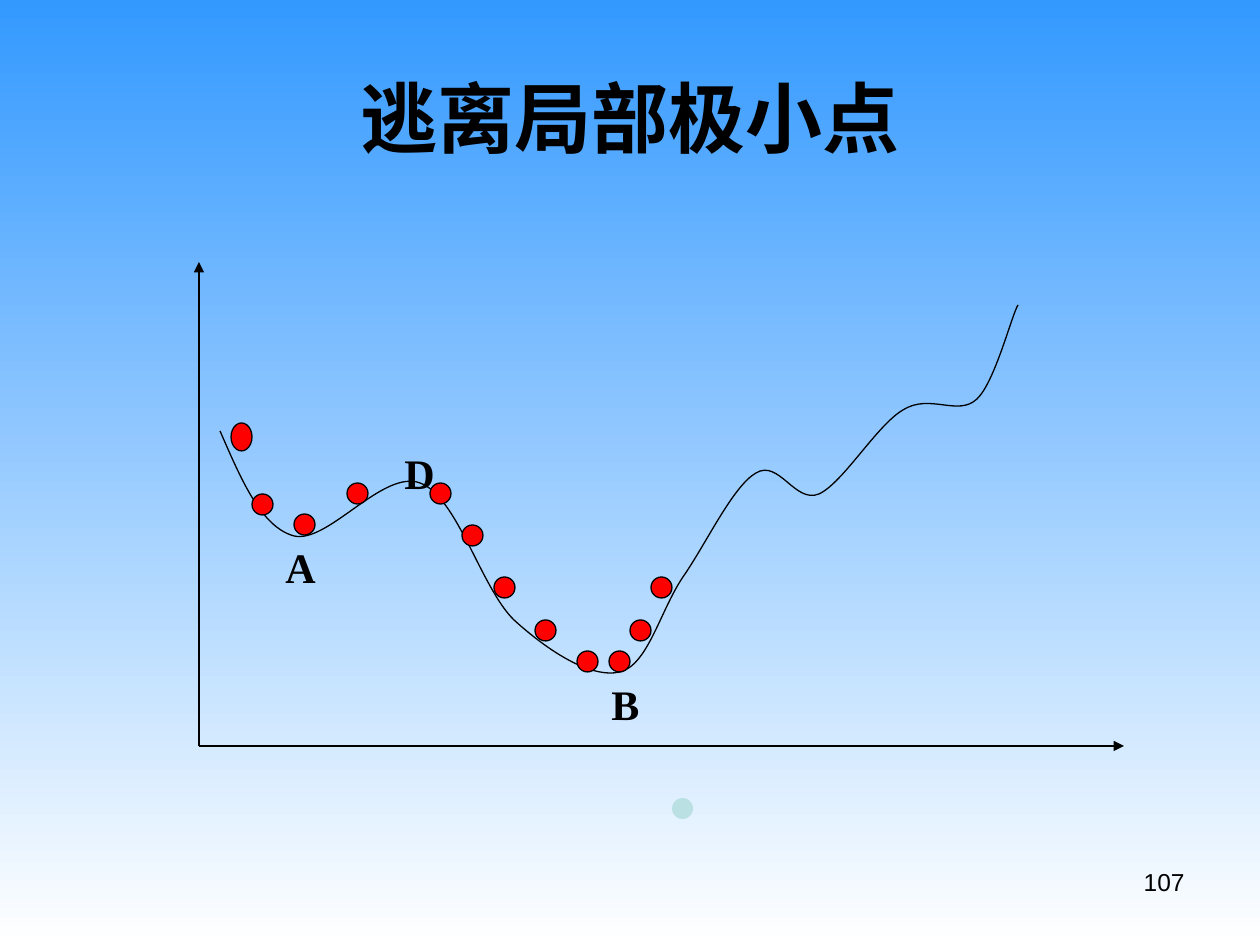
import pptx
import pptx.util
import pptx.dml.color
import pptx.enum.shapes
import pptx.enum.text
import pptx.oxml
import pptx.oxml.ns

PX = 914400 / 126
qn = pptx.oxml.ns.qn


def px(*lengths):
    return [pptx.util.Emu(round(length * PX)) for length in lengths]


def color(value):
    return pptx.dml.color.RGBColor.from_string(value)


deck = pptx.Presentation()
deck.slide_width, deck.slide_height = px(1260, 945)
slide = deck.slides.add_slide(deck.slide_layouts[5])

sky = slide.background.fill
sky.gradient()
sky.gradient_angle = 270
for stop, (position, shade) in zip(sky.gradient_stops, [(0, "3399FF"), (1, "FFFFFF")]):
    stop.position = position
    stop.color.rgb = color(shade)

title = slide.shapes.title
title.left, title.top, title.width, title.height = px(63, 38, 1134, 158)
title.text_frame.text = "逃离局部极小点"
title.text_frame.vertical_anchor = pptx.enum.text.MSO_ANCHOR.MIDDLE
heading = title.text_frame.paragraphs[0]
heading.alignment = pptx.enum.text.PP_ALIGN.CENTER
heading.runs[0].font.name = "Arial"
heading.runs[0].font.size = pptx.util.Pt(44)
heading.runs[0].font.bold = True
heading.runs[0].font.color.rgb = color("000000")

plot = slide.shapes.add_group_shape().shapes
origin = (199, 746)
for axis_end in [(199, 262), (1124, 746)]:
    axis = plot.add_connector(
        pptx.enum.shapes.MSO_CONNECTOR.STRAIGHT, *px(*origin, *axis_end))
    axis.line.color.rgb = color("000000")
    axis.line.width = pptx.util.Pt(0.75)
    arrowhead = pptx.oxml.parse_xml(
        '<a:tailEnd xmlns:a="http://schemas.openxmlformats.org/drawingml/2006/main" type="triangle"/>')
    axis.line._get_or_add_ln().append(arrowhead)
    axis_properties = axis._element.spPr
    axis_properties.append(axis_properties.makeelement(qn("a:effectLst"), {}))

curve_start = (220, 431)
curve_points = [
    (241, 479), (261, 527), (294, 536),
    (328, 544), (383, 469), (420, 483),
    (457, 496), (481, 588), (514, 620),
    (548, 651), (591, 679), (620, 672),
    (648, 665), (660, 611), (683, 577),
    (706, 544), (733, 486), (756, 473),
    (779, 459), (795, 504), (819, 494),
    (843, 483), (877, 425), (903, 410),
    (930, 393), (958, 417), (977, 399),
    (995, 382), (1012, 314), (1018, 305),
]
outline = plot.build_freeform(*curve_start, scale=PX)
outline.add_line_segments(curve_points, close=False)
curve = outline.convert_to_shape()
curve.shadow.inherit = False
curve.fill.background()
curve.line.color.rgb = color("000000")
curve.line.width = pptx.util.Pt(0.75)
segments = list(curve._element.iter(qn("a:lnTo")))
for first in range(0, len(segments), 3):
    bezier = segments[first].makeelement(qn("a:cubicBezTo"), {})
    segments[first].addprevious(bezier)
    for segment in segments[first:first + 3]:
        bezier.append(segment[0])
        segment.getparent().remove(segment)

for letter, left, top, width in [("D", 392, 441, 55), ("B", 599, 672, 53), ("A", 273, 535, 55)]:
    label = plot.add_textbox(*px(left, top, width, 63))
    label.text_frame.word_wrap = False
    label.text_frame.text = letter
    letter_font = label.text_frame.paragraphs[0].runs[0].font
    letter_font.name = "Times New Roman"
    letter_font.size = pptx.util.Pt(24)
    letter_font.bold = True
    letter_font.color.rgb = color("000000")

trail = [
    (252, 494), (294, 514), (347, 483), (430, 483), (462, 525), (494, 577),
    (535, 620), (577, 651), (609, 651), (630, 620), (651, 577),
]
balls = [(plot, 231, 423, 28, "FF0000")]
balls += [(slide.shapes, left, top, 21, "FF0000") for left, top in trail]
balls += [(slide.shapes, 672, 798, 21, "BBE0E3")]
for layer, left, top, height, shade in balls:
    ball = layer.add_shape(pptx.enum.shapes.MSO_SHAPE.OVAL, *px(left, top, 21, height))
    ball.shadow.inherit = False
    ball.fill.solid()
    ball.fill.fore_color.rgb = color(shade)
    if shade == "FF0000":
        ball.line.color.rgb = color("000000")
        ball.line.width = pptx.util.Pt(0.75)
    else:
        ball.line.fill.background()

page_number = slide.shapes.add_textbox(*px(903, 861, 294, 66))
page_number.text_frame.word_wrap = True
page_number.text_frame.text = "107"
page_line = page_number.text_frame.paragraphs[0]
page_line.alignment = pptx.enum.text.PP_ALIGN.RIGHT
page_line.runs[0].font.name = "Arial"
page_line.runs[0].font.size = pptx.util.Pt(14)
page_line.runs[0].font.color.rgb = color("000000")

deck.save("out.pptx")
